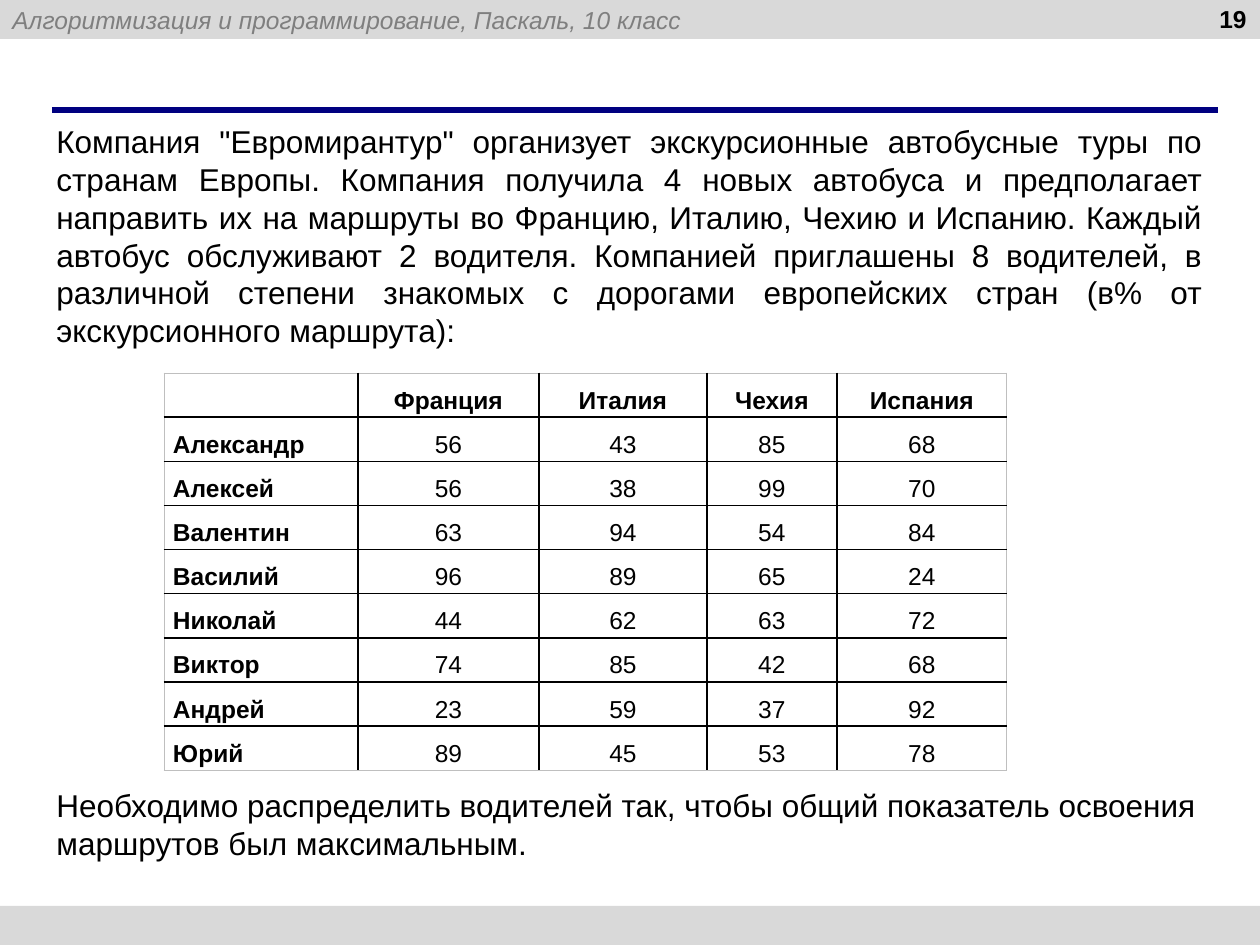
from dataclasses import dataclass

from lxml.etree import SubElement
from pptx import Presentation
from pptx.dml.color import RGBColor
from pptx.enum.shapes import MSO_CONNECTOR, MSO_SHAPE
from pptx.enum.text import MSO_ANCHOR, PP_ALIGN as Align
from pptx.oxml.ns import qn
from pptx.util import Emu, Inches, Pt

PX_PER_INCH = 126
SLIDE_W, SLIDE_H = 1260, 945
BAR_H = 39
FONT = "Arial"

BLACK = RGBColor(0x00, 0x00, 0x00)
WHITE = RGBColor(0xFF, 0xFF, 0xFF)
BAR_GREY = RGBColor(0xD9, 0xD9, 0xD9)
EDGE_GREY = RGBColor(0xBF, 0xBF, 0xBF)
COURSE_GREY = RGBColor(0x7F, 0x7F, 0x7F)
NAVY = RGBColor(0x00, 0x00, 0x80)

COURSE = "Алгоритмизация и программирование, Паскаль, 10 класс"
PROBLEM = (
    'Компания "Евромирантур" организует экскурсионные автобусные туры по '
    "странам Европы. Компания получила 4 новых автобуса и предполагает "
    "направить их на маршруты во Францию, Италию, Чехию и Испанию. Каждый "
    "автобус обслуживают 2 водителя. Компанией приглашены 8 водителей, в "
    "различной степени знакомых с дорогами европейских стран (в% от "
    "экскурсионного маршрута):"
)
TASK = (
    "Необходимо распределить водителей так, чтобы общий показатель освоения "
    "маршрутов был максимальным."
)


@dataclass(frozen=True)
class TextStyle:
    size: int
    color: RGBColor = BLACK
    bold: bool = False
    italic: bool = False
    align: Align = Align.LEFT
    spacing: float = 1.0


@dataclass(frozen=True)
class TextBlock:
    text: str
    left: int
    top: int
    width: int
    height: int
    style: TextStyle


@dataclass(frozen=True)
class Driver:
    name: str
    scores: tuple[int, ...]


COUNTRIES = ("Франция", "Италия", "Чехия", "Испания")
DRIVERS = (
    Driver("Александр", (56, 43, 85, 68)),
    Driver("Алексей", (56, 38, 99, 70)),
    Driver("Валентин", (63, 94, 54, 84)),
    Driver("Василий", (96, 89, 65, 24)),
    Driver("Николай", (44, 62, 63, 72)),
    Driver("Виктор", (74, 85, 42, 68)),
    Driver("Андрей", (23, 59, 37, 92)),
    Driver("Юрий", (89, 45, 53, 78)),
)
COLUMN_WIDTHS = (194, 181, 168, 130, 170)
ROW_H = 44

BLOCKS = (
    TextBlock("19", 965, -2, 294, 65, TextStyle(14, bold=True, align=Align.RIGHT)),
    TextBlock(PROBLEM, 44, 116, 1171, 280, TextStyle(18, align=Align.JUSTIFY)),
    TextBlock(TASK, 44, 780, 1216, 89, TextStyle(18)),
)


def px(length: int) -> Emu:
    return Emu(round(length * Inches(1) / PX_PER_INCH))


def write(frame, text: str, style: TextStyle) -> None:
    frame.text = text
    paragraph = frame.paragraphs[0]
    paragraph.alignment = style.align
    paragraph.line_spacing = style.spacing
    for run in paragraph.runs:
        run.font.name = FONT
        run.font.size = Pt(style.size)
        run.font.bold = style.bold
        run.font.italic = style.italic
        run.font.color.rgb = style.color


def add_bar(slide, top: int):
    bar = slide.shapes.add_shape(MSO_SHAPE.RECTANGLE, 0, px(top), px(SLIDE_W), px(BAR_H))
    bar.shadow.inherit = False
    bar.fill.solid()
    bar.fill.fore_color.rgb = BAR_GREY
    bar.line.fill.background()
    return bar


def add_title_rule(slide) -> None:
    rule = slide.shapes.add_connector(MSO_CONNECTOR.STRAIGHT, px(52), px(110), px(1218), px(110))
    rule.line.color.rgb = NAVY
    rule.line.width = Pt(3)
    SubElement(rule._element.spPr, qn("a:effectLst"))


def add_text(slide, block: TextBlock) -> None:
    box = slide.shapes.add_textbox(
        px(block.left), px(block.top), px(block.width), px(block.height)
    )
    box.text_frame.word_wrap = True
    write(box.text_frame, block.text, block.style)


def set_border(cell, side: str, color: RGBColor, width: float) -> None:
    """Insert one cell border; calls must follow the order lnL, lnR, lnT, lnB."""
    properties = cell._tc.get_or_add_tcPr()
    border = SubElement(properties, qn(f"a:{side}"), w=str(Pt(width)))
    fill = SubElement(border, qn("a:solidFill"))
    SubElement(fill, qn("a:srgbClr"), val=str(color))


def add_scores(slide) -> None:
    rows = [("", *COUNTRIES)] + [(driver.name, *driver.scores) for driver in DRIVERS]
    last_row, last_column = len(rows) - 1, len(COLUMN_WIDTHS) - 1
    table = slide.shapes.add_table(
        len(rows), len(COLUMN_WIDTHS), px(164), px(373),
        px(sum(COLUMN_WIDTHS)), px(ROW_H * len(rows)),
    ).table
    for column, width in zip(table.columns, COLUMN_WIDTHS):
        column.width = px(width)
    for r, values in enumerate(rows):
        table.rows[r].height = px(ROW_H)
        for c, value in enumerate(values):
            cell = table.cell(r, c)
            cell.margin_left = cell.margin_right = px(9)
            cell.margin_top = cell.margin_bottom = 0
            outer_sides = {
                "lnL": c == 0, "lnR": c == last_column,
                "lnT": r == 0, "lnB": r == last_row,
            }
            for side, is_outer in outer_sides.items():
                set_border(cell, side, *((EDGE_GREY, 0.5) if is_outer else (BLACK, 1)))
            cell.fill.solid()
            cell.fill.fore_color.rgb = WHITE
            if value != "":
                align = Align.LEFT if c == 0 else Align.CENTER
                style = TextStyle(14, bold=r == 0 or c == 0, align=align, spacing=1.5)
                write(cell.text_frame, str(value), style)


def main() -> None:
    prs = Presentation()
    prs.slide_width, prs.slide_height = px(SLIDE_W), px(SLIDE_H)
    slide = prs.slides.add_slide(prs.slide_layouts[6])

    header = add_bar(slide, 0)
    header.text_frame.vertical_anchor = MSO_ANCHOR.MIDDLE
    write(header.text_frame, COURSE, TextStyle(14, COURSE_GREY, italic=True))
    add_bar(slide, SLIDE_H - BAR_H)
    add_title_rule(slide)
    for block in BLOCKS:
        add_text(slide, block)
    add_scores(slide)

    prs.save("out.pptx")


if __name__ == "__main__":
    main()
